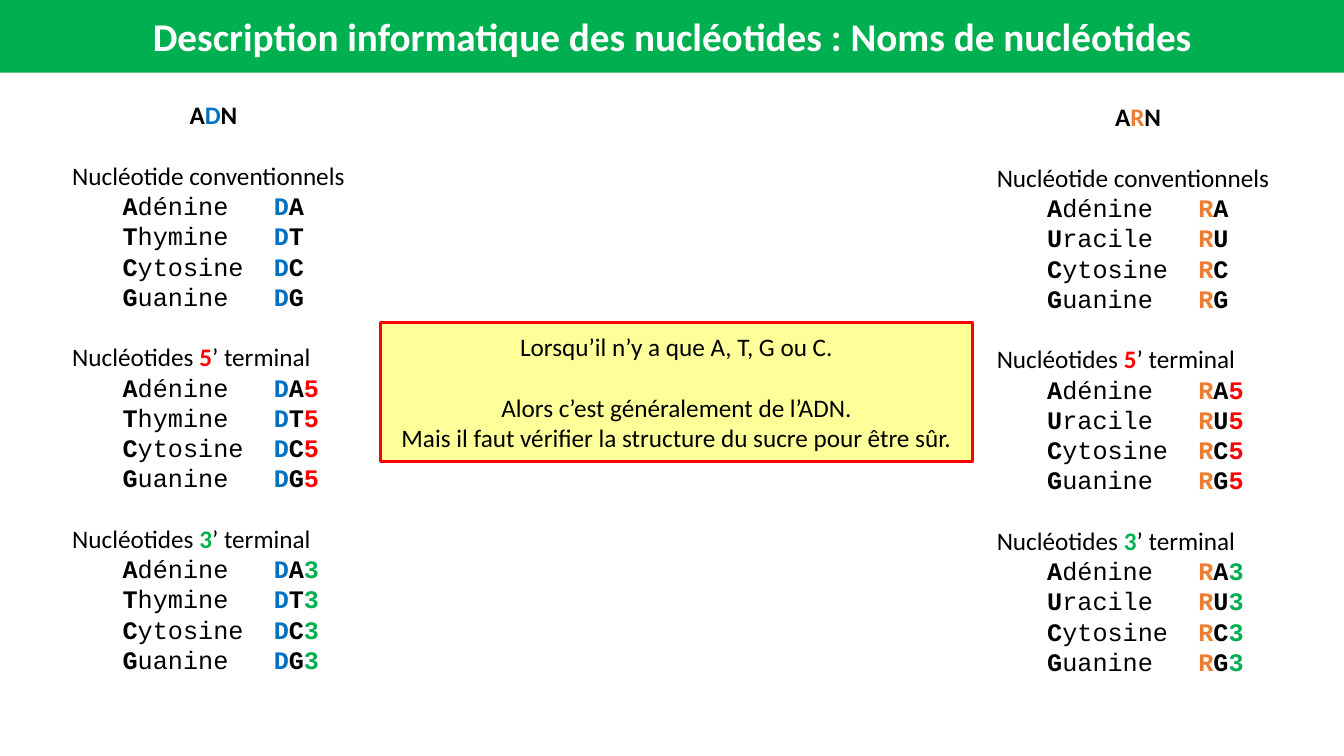
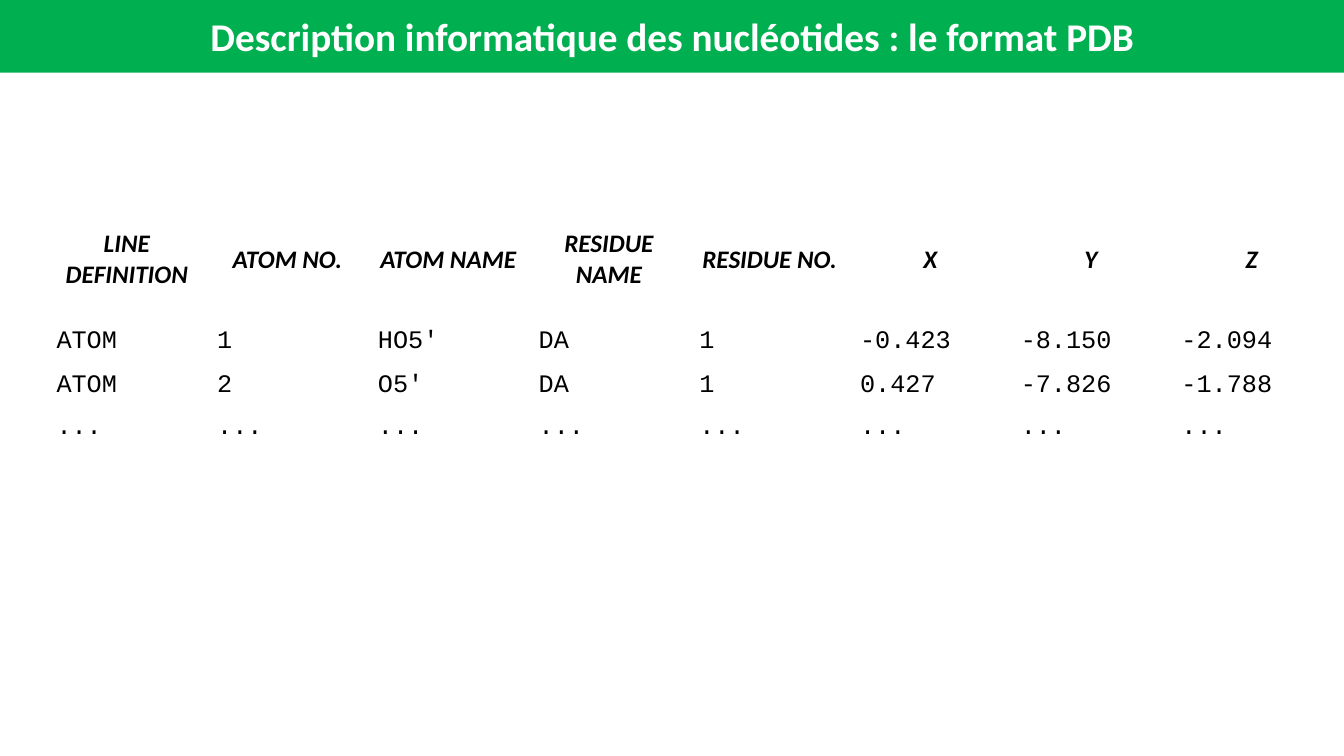
from pptx import Presentation
from pptx.dml.color import RGBColor as RGB
from pptx.enum.shapes import MSO_SHAPE as Shape
from pptx.enum.text import MSO_ANCHOR as Anchor, MSO_AUTO_SIZE as Auto, PP_ALIGN as Align
from pptx.util import Cm, Pt
from lxml.etree import SubElement as Sub
from pptx.oxml.ns import qn

GREEN = RGB(0x00, 0xB0, 0x50)
BLUE = RGB(0x00, 0x70, 0xC0)
ORANGE = RGB(0xED, 0x7D, 0x31)
RED = RGB(0xFF, 0x00, 0x00)
YELLOW = RGB(0xFF, 0xFF, 0x99)
BLACK = RGB(0x00, 0x00, 0x00)
WHITE = RGB(0xFF, 0xFF, 0xFF)
SANS, MONO = "Calibri", "Courier New"
BODY, PITCH = Pt(18), Pt(21.6)

deck = Presentation()
deck.slide_width, deck.slide_height = Cm(33.87), Cm(19.05)


def style(run, face=SANS, size=BODY, color=BLACK, bold=False, italic=False):
    font = run.font
    font.name, font.size, font.bold, font.italic = face, size, bold, italic
    font.color.rgb = color


def panel(slide, box, fill, lines, **look):
    shape = slide.shapes.add_shape(Shape.RECTANGLE, *map(Cm, box))
    shape.shadow.inherit = False
    shape.fill.solid()
    shape.fill.fore_color.rgb = fill
    shape.line.fill.background()
    frame = shape.text_frame
    frame.word_wrap = True
    frame.vertical_anchor = Anchor.MIDDLE
    frame.text = "\n".join(lines)
    for para in frame.paragraphs:
        para.alignment = Align.CENTER
        style(para.runs[0], **look)
    return shape


slides = []
for topic in ["Noms de nucléotides", "le format PDB"]:
    slide = deck.slides.add_slide(deck.slide_layouts[6])
    title = f"Description informatique des nucléotides : {topic}"
    panel(slide, (0, 0, 33.87, 1.83), GREEN, [title],
          size=Pt(28), color=WHITE, bold=True)
    slides.append(slide)
names, format = slides

groups = [
    ([("Nucléotide conventionnels", BLACK, False)], "", BLACK),
    ([("Nucléotides ", BLACK, False), ("5", RED, True),
      ("’ terminal", BLACK, False)], "5", RED),
    ([("Nucléotides ", BLACK, False), ("3", GREEN, True),
      ("’ terminal", BLACK, False)], "3", GREEN),
]
acids = [
    ("D", BLUE, 1.57, 2.39, ["Adénine", "Thymine", "Cytosine", "Guanine"]),
    ("R", ORANGE, 24.87, 2.44, ["Adénine", "Uracile", "Cytosine", "Guanine"]),
]
for sugar, hue, left, top, bases in acids:
    rows = [(SANS, [("A", BLACK, True), (sugar, hue, True), ("N", BLACK, True)])]
    for head, mark, tint in groups:
        rows.append((SANS, head))
        for base in bases:
            parts = [("\t" + base[0], BLACK, True), (base[1:] + "\t", BLACK, False),
                     (sugar, hue, True), (base[0], BLACK, True)]
            if mark:
                parts.append((mark, tint, True))
            rows.append((MONO, parts))

    box = names.shapes.add_textbox(Cm(left), Cm(top), Cm(7.62), Cm(14.88))
    frame = box.text_frame
    frame.word_wrap = True
    frame.auto_size = Auto.SHAPE_TO_FIT_TEXT
    for i, (face, parts) in enumerate(rows):
        para = frame.add_paragraph() if i else frame.paragraphs[0]
        para.line_spacing = PITCH
        if i == 0:
            para.alignment = Align.CENTER
        elif face == SANS:
            para.space_before = PITCH
        else:
            tabs = Sub(para._p.get_or_add_pPr(), qn("a:tabLst"))
            for stop in (1.27, 5.08):
                Sub(tabs, qn("a:tab"), pos=str(Cm(stop)), algn="l")
        for text, color, bold in parts:
            run = para.add_run()
            run.text = text
            style(run, face, color=color, bold=bold)

note = panel(names, (9.58, 8.13, 14.94, 3.5), YELLOW, [
    "Lorsqu’il n’y a que A, T, G ou C.",
    "Alors c’est généralement de l’ADN.",
    "Mais il faut vérifier la structure du sucre pour être sûr.",
])
note.line.color.rgb = RED
note.line.width = Pt(2.25)
note.text_frame.paragraphs[1].space_before = Pt(22)

atoms = [
    ["LINE DEFINITION", "ATOM NO.", "ATOM NAME", "RESIDUE NAME",
     "RESIDUE NO.", "X", "Y", "Z"],
    ["ATOM", "1", "HO5'", "DA", "1", "-0.423", "-8.150", "-2.094"],
    ["ATOM", "2", "O5'", "DA", "1", "0.427", "-7.826", "-1.788"],
    ["..."] * 8,
]
heights = [3.02, 1.14, 1.07, 0.84]
grid = format.shapes.add_table(
    len(atoms), 8, Cm(1.17), Cm(5.03), Cm(32.36), Cm(sum(heights))).table
grid.first_row = grid.horz_banding = False
for col in grid.columns:
    col.width = Cm(4.05)
for r, (values, height) in enumerate(zip(atoms, heights)):
    grid.rows[r].height = Cm(height)
    for c, value in enumerate(values):
        cell = grid.cell(r, c)
        cell.fill.background()
        cell.vertical_anchor = Anchor.MIDDLE
        cell.text_frame.text = value
        para = cell.text_frame.paragraphs[0]
        if r == 0:
            para.alignment = Align.CENTER
            style(para.runs[0], bold=True, italic=True)
        else:
            style(para.runs[0], MONO)

deck.save("out.pptx")
